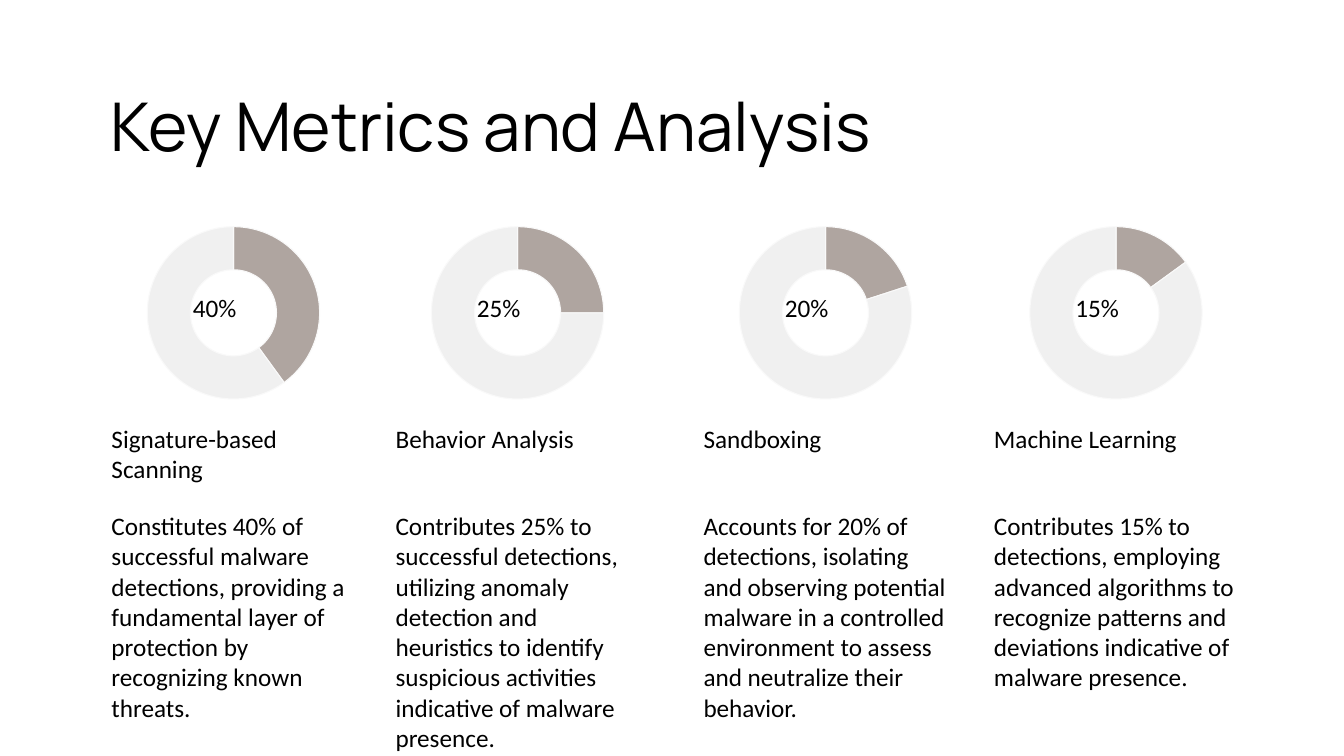
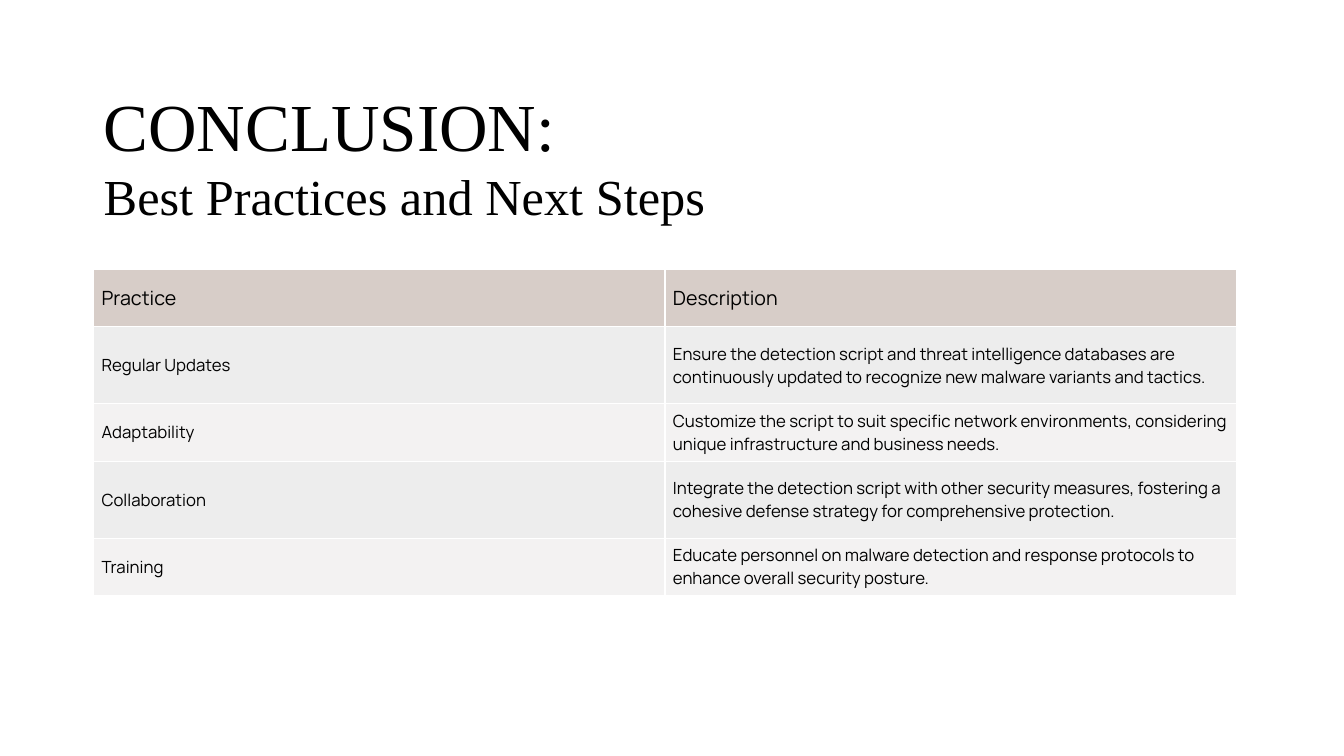
from lxml import etree
from pptx import Presentation
from pptx.chart.data import CategoryChartData
from pptx.dml.color import RGBColor
from pptx.enum.chart import XL_CHART_TYPE
from pptx.enum.text import MSO_ANCHOR, MSO_AUTO_SIZE, PP_ALIGN
from pptx.oxml import parse_xml
from pptx.oxml.ns import nsdecls, qn
from pptx.util import Cm, Pt

DOUGHNUT = XL_CHART_TYPE.DOUGHNUT
TOP, MIDDLE = MSO_ANCHOR.TOP, MSO_ANCHOR.MIDDLE
NO_FIT, GROW = MSO_AUTO_SIZE.NONE, MSO_AUTO_SIZE.SHAPE_TO_FIT_TEXT
LEFT = PP_ALIGN.LEFT

COLOURS = {
    "text": "000000",
    "background": "FFFFFF",
    "share": "AFA5A0",
    "rest": "F0F0F0",
    "ring_line": "F9F9F9",
    "header": "D7CDC8",
    "odd_row": "EDEDED",
    "even_row": "F3F2F2",
    "border": "FFFFFF",
}
HEADING_FONT, BODY_FONT, SERIF_FONT = "Manrope", "Calibri", "Times New Roman"

METRICS_TITLE = [("Key Metrics and Analysis", 48)]
METRICS = [
    (2.56, 40, "Signature-based Scanning",
     "Constitutes 40% of successful malware detections, providing a fundamental "
     "layer of protection by recognizing known threats."),
    (9.72, 25, "Behavior Analysis",
     "Contributes 25% to successful detections, utilizing anomaly detection and "
     "heuristics to identify suspicious activities indicative of malware presence."),
    (17.48, 20, "Sandboxing",
     "Accounts for 20% of detections, isolating and observing potential malware in "
     "a controlled environment to assess and neutralize their behavior."),
    (24.8, 15, "Machine Learning",
     "Contributes 15% to detections, employing advanced algorithms to recognize "
     "patterns and deviations indicative of malware presence."),
]
CONCLUSION_TITLE = [("CONCLUSION:", 48), ("Best Practices and Next Steps", 36)]
PRACTICES = [
    ("Practice", "Description"),
    ("Regular Updates",
     "Ensure the detection script and threat intelligence databases are "
     "continuously updated to recognize new malware variants and tactics."),
    ("Adaptability",
     "Customize the script to suit specific network environments, considering "
     "unique infrastructure and business needs."),
    ("Collaboration",
     "Integrate the detection script with other security measures, fostering a "
     "cohesive defense strategy for comprehensive protection."),
    ("Training",
     "Educate personnel on malware detection and response protocols to enhance "
     "overall security posture."),
]
TABLE_LEFT, TABLE_TOP, TABLE_WIDTH = 2.36, 6.78, 28.8
ROW_HEIGHTS = [1.45, 1.94, 1.45, 1.94, 1.45]

RING_TOP, RING_SIZE, RING_INDENT = 5.36, 5.05, 0.8
RING_HOLE, RING_MARGIN = 90, 0.07
SHARE_TOP, SHARE_INDENT = 7.24, 2.05
NAME_TOP, DETAIL_TOP, COLUMN_WIDTH = 10.53, 12.74, 6.65


def colour(name):
    return RGBColor.from_string(COLOURS[name])


def set_font(font, name, size):
    font.name = name
    font.size = Pt(size)
    font.color.rgb = colour("text")


def add_titled_slide(presentation, lines, left, font_name):
    slide = presentation.slides.add_slide(presentation.slide_layouts[5])
    title = slide.shapes.title
    title.left, title.top = Cm(left), Cm(2)
    title.width, title.height = Cm(29), Cm(3.66)
    frame = title.text_frame
    frame.text = "\n".join(text for text, size in lines)
    frame.word_wrap = True
    frame.auto_size = NO_FIT
    frame.vertical_anchor = TOP
    for paragraph, (text, size) in zip(frame.paragraphs, lines):
        paragraph.alignment = LEFT
        set_font(paragraph.font, font_name, size)
    return slide


def add_text(slide, text, left, top, width, height):
    frame = slide.shapes.add_textbox(Cm(left), Cm(top), Cm(width), Cm(height)).text_frame
    frame.text = text
    frame.word_wrap = True
    frame.auto_size = GROW
    set_font(frame.paragraphs[0].font, BODY_FONT, 18)


def fit_ring(chart):
    plot_area = chart._chartSpace.find(".//" + qn("c:plotArea"))
    for layout in plot_area.findall(qn("c:layout")):
        plot_area.remove(layout)
    layout = etree.Element(qn("c:layout"))
    manual = etree.SubElement(layout, qn("c:manualLayout"))
    extent = round(1 - 2 * RING_MARGIN, 2)
    settings = [("layoutTarget", "inner"), ("xMode", "edge"), ("yMode", "edge"),
                ("x", RING_MARGIN), ("y", RING_MARGIN), ("w", extent), ("h", extent)]
    for tag, value in settings:
        etree.SubElement(manual, qn("c:" + tag)).set("val", str(value))
    plot_area.insert(0, layout)
    plot_area.find(".//" + qn("c:holeSize")).set("val", str(RING_HOLE))


def add_ring(slide, share, left):
    data = CategoryChartData()
    data.categories = ["1", "2"]
    data.add_series("Series 1", [share, 100 - share])
    chart = slide.shapes.add_chart(
        DOUGHNUT, Cm(left), Cm(RING_TOP), Cm(RING_SIZE), Cm(RING_SIZE), data).chart
    chart.has_title = False
    chart.has_legend = False
    set_font(chart.font, BODY_FONT, 10)
    plot = chart.plots[0]
    plot.has_data_labels = False
    plot.vary_by_categories = True
    for index, name in enumerate(("share", "rest")):
        point_format = plot.series[0].points[index].format
        point_format.fill.solid()
        point_format.fill.fore_color.rgb = colour(name)
        point_format.line.color.rgb = colour("ring_line")
        point_format.line.width = Pt(0.75)
    fit_ring(chart)


def add_borders(cell):
    properties = cell._tc.get_or_add_tcPr()
    for index, side in enumerate(("lnL", "lnR", "lnT", "lnB")):
        properties.insert(index, parse_xml(
            f'<a:{side} {nsdecls("a")} w="{Pt(1)}"><a:solidFill>'
            f'<a:srgbClr val="{COLOURS["border"]}"/></a:solidFill></a:{side}>'))


def format_cell(cell, text, size, fill):
    cell.text = text
    cell.vertical_anchor = MIDDLE
    cell.margin_left = cell.margin_right = Cm(0.2)
    cell.margin_top = cell.margin_bottom = Cm(0.13)
    cell.fill.solid()
    cell.fill.fore_color.rgb = colour(fill)
    set_font(cell.text_frame.paragraphs[0].font, HEADING_FONT, size)
    add_borders(cell)


def build_metrics(presentation):
    slide = add_titled_slide(presentation, METRICS_TITLE, 2.54, HEADING_FONT)
    for left, share, name, detail in METRICS:
        add_ring(slide, share, left + RING_INDENT)
        add_text(slide, f"{share}%", left + SHARE_INDENT, SHARE_TOP, 2.54, 1.27)
        add_text(slide, name, left, NAME_TOP, COLUMN_WIDTH, 2.06)
        add_text(slide, detail, left, DETAIL_TOP, COLUMN_WIDTH, 3.66)


def build_conclusion(presentation):
    slide = add_titled_slide(presentation, CONCLUSION_TITLE, 2.36, SERIF_FONT)
    table = slide.shapes.add_table(
        len(PRACTICES), 2, Cm(TABLE_LEFT), Cm(TABLE_TOP),
        Cm(TABLE_WIDTH), Cm(sum(ROW_HEIGHTS))).table
    table.first_row = True
    table.horz_banding = False
    for column in table.columns:
        column.width = Cm(TABLE_WIDTH / 2)
    for row_index, (texts, height) in enumerate(zip(PRACTICES, ROW_HEIGHTS)):
        table.rows[row_index].height = Cm(height)
        is_header = row_index == 0
        fill = "header" if is_header else ("even_row", "odd_row")[row_index % 2]
        for column_index, text in enumerate(texts):
            cell = table.cell(row_index, column_index)
            format_cell(cell, text, 14 if is_header else 12, fill)
            cell.text_frame.paragraphs[0].font.bold = False


def main():
    presentation = Presentation()
    presentation.slide_width, presentation.slide_height = Cm(33.87), Cm(19.05)
    background = presentation.slide_master.background.fill
    background.solid()
    background.fore_color.rgb = colour("background")
    build_metrics(presentation)
    build_conclusion(presentation)
    presentation.save("out.pptx")


if __name__ == "__main__":
    main()
